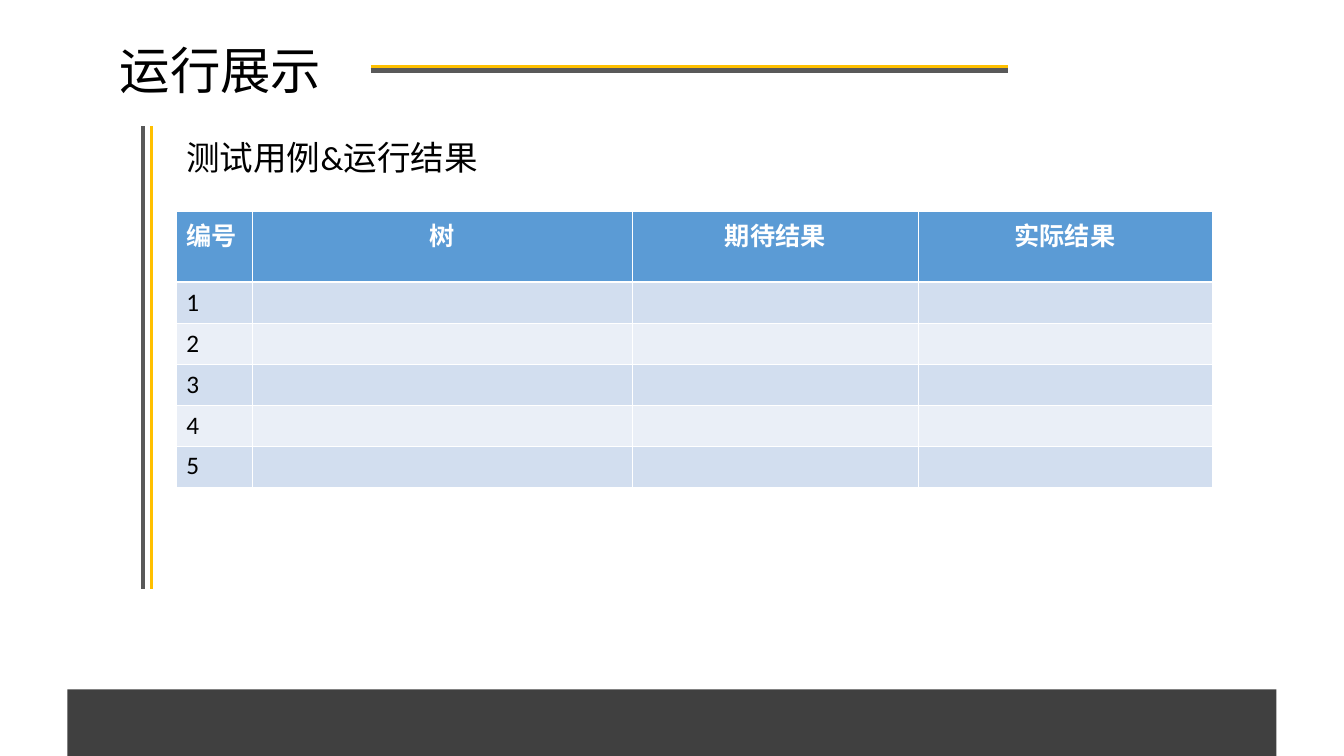
import pptx
import pptx.util
import pptx.dml.color
import pptx.enum.shapes
import pptx.enum.text
import pptx.oxml.ns
import lxml.etree

Inches = pptx.util.Inches
Pt = pptx.util.Pt
ALIGN = pptx.enum.text.PP_ALIGN
qn = pptx.oxml.ns.qn

COLORS = {
    "black": "000000", "white": "FFFFFF", "gold": "FFC000", "gray": "595959",
    "footer": "404040", "header": "5B9BD5", "odd": "D2DEEF", "even": "EAEFF7",
}
CJK = "Noto Sans CJK SC"
HEADERS = ["编号", "树", "期待结果", "实际结果"]
COLUMN_WIDTHS = [0.75, 3.78, 2.83, 2.92]
CASE_COUNT = 5
HEADER_HEIGHT = 0.7
ROW_HEIGHT = 0.406


def rgb(name):
    return pptx.dml.color.RGBColor.from_string(COLORS[name])


def write(tf, text, size=18, font="Calibri", color="black", bold=False, align=ALIGN.LEFT):
    p = tf.paragraphs[0]
    p.alignment = align
    r = p.add_run()
    r.text = text
    r.font.size = Pt(size)
    r.font.name = font
    r.font.bold = bold
    r.font.color.rgb = rgb(color)
    lxml.etree.SubElement(r.font._element, qn("a:ea"), typeface=CJK)
    return p


def add_text(slide, box, text, **fmt):
    tf = slide.shapes.add_textbox(*map(Inches, box)).text_frame
    tf.word_wrap = True
    return write(tf, text, **fmt)


def add_rule(slide, x1, y1, x2, y2, color, weight):
    line = slide.shapes.add_connector(
        pptx.enum.shapes.MSO_CONNECTOR.STRAIGHT, *map(Inches, (x1, y1, x2, y2)))
    line.line.color.rgb = rgb(color)
    line.line.width = Pt(weight)
    lxml.etree.SubElement(line._element.spPr, qn("a:effectLst"))


def add_title(slide, left, top, width, height):
    rule_left, rule_top = left + 2.59, top + 0.32
    add_rule(slide, rule_left, rule_top, left + width, rule_top, "gold", 2.25)
    add_rule(slide, rule_left, rule_top + 0.04, left + width, rule_top + 0.04, "gray", 3)
    add_text(slide, (left, top, 3.18, height), "运行展示", size=36, font=CJK)


def add_side_rules(slide, left, top, width, height):
    add_rule(slide, left + width, top + height, left + width, top, "gold", 2.25)
    add_rule(slide, left, top + height, left, top, "gray", 3)


def add_footer(slide, left, top, width, height):
    sp = slide.shapes.add_shape(
        pptx.enum.shapes.MSO_SHAPE.RECTANGLE, *map(Inches, (left, top, width, height)))
    sp.shadow.inherit = False
    sp.fill.solid()
    sp.fill.fore_color.rgb = rgb("footer")
    sp.line.fill.background()


def style_cell(cell, fill, top=0.45, bottom=0.45):
    tcPr = cell._tc.get_or_add_tcPr()
    for side, weight in (("L", 0.45), ("R", 0.45), ("T", top), ("B", bottom)):
        ln = lxml.etree.SubElement(tcPr, qn("a:ln" + side), w=str(Pt(weight)))
        solid = lxml.etree.SubElement(ln, qn("a:solidFill"))
        lxml.etree.SubElement(solid, qn("a:srgbClr"), val=COLORS["white"])
    cell.fill.solid()
    cell.fill.fore_color.rgb = rgb(fill)


def add_case_table(slide, left, top, width, height):
    table = slide.shapes.add_table(
        CASE_COUNT + 1, len(HEADERS), *map(Inches, (left, top, width, height))).table
    for column, column_width in zip(table.columns, COLUMN_WIDTHS):
        column.width = Inches(column_width)
    for i, row in enumerate(table.rows):
        row.height = Inches(ROW_HEIGHT if i else HEADER_HEIGHT)
        for j, cell in enumerate(row.cells):
            if i == 0:
                style_cell(cell, "header", bottom=1.47)
                write(cell.text_frame, HEADERS[j], color="white", bold=True,
                      align=ALIGN.CENTER if j else ALIGN.LEFT)
            else:
                style_cell(cell, "odd" if i % 2 else "even", top=1.47 if i == 1 else 0.45)
                if j == 0:
                    write(cell.text_frame, str(i))


def add_content(slide, left, top, width, height):
    p = add_text(slide, (left, top, width, height), "测试用例&运行结果", size=24)
    p.line_spacing = 0.9
    p.space_before = Pt(10)
    add_case_table(slide, left, top + 0.75, sum(COLUMN_WIDTHS),
                   HEADER_HEIGHT + CASE_COUNT * ROW_HEIGHT)


def main():
    prs = pptx.Presentation()
    prs.slide_width, prs.slide_height = Inches(13.34), Inches(7.5)
    slide = prs.slides.add_slide(prs.slide_layouts[6])
    add_title(slide, 1.09, 0.34, 8.92, 0.7)
    add_side_rules(slide, 1.42, 1.25, 0.08, 4.59)
    add_footer(slide, 0.67, 6.84, 12, 0.66)
    add_content(slide, 1.75, 1.35, 10.61, 4.76)
    prs.save("out.pptx")


if __name__ == "__main__":
    main()
